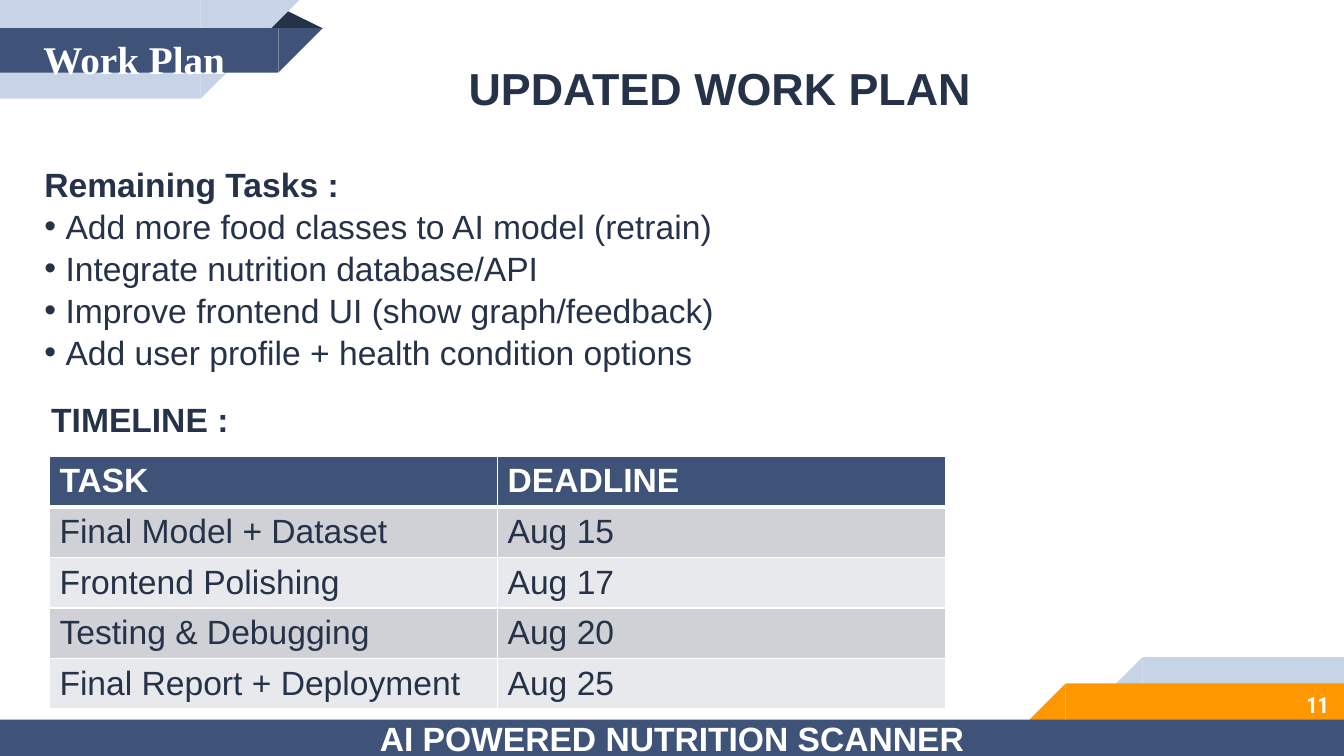
from dataclasses import dataclass

from pptx import Presentation
from pptx.dml.color import RGBColor
from pptx.enum.shapes import MSO_SHAPE as Preset
from pptx.enum.text import MSO_ANCHOR as Anchor, MSO_AUTO_SIZE as AutoSize, PP_ALIGN as Align
from pptx.oxml.ns import qn
from pptx.util import Inches, Pt
from lxml.etree import SubElement


@dataclass(frozen=True)
class Theme:
    navy: str = "3F5378"
    ink: str = "263248"
    pale: str = "C7D3E6"
    orange: str = "FF9800"
    white: str = "FFFFFF"
    bands: tuple = ("CFD1D6", "E8E9EC")
    font: str = "Arial"
    ribbon_font: str = "Times New Roman"
    number_font: str = "Roboto Condensed"
    heading_size: int = 32
    ribbon_size: int = 28
    text_size: int = 24
    number_size: int = 16


THEME = Theme()
TASKS = [
    "Add more food classes to AI model (retrain)",
    "Integrate nutrition database/API",
    "Improve frontend UI (show graph/feedback)",
    "Add user profile + health condition options",
]
TIMELINE = [
    ("TASK", "DEADLINE"),
    ("Final Model + Dataset", "Aug 15"),
    ("Frontend Polishing", "Aug 17"),
    ("Testing & Debugging", "Aug 20"),
    ("Final Report + Deployment", "Aug 25"),
]


def place(shape, box):
    shape.left, shape.top, shape.width, shape.height = map(Inches, box)


def style(paragraph, size=THEME.text_size, color=THEME.ink, bold=True,
          font=THEME.font, align=Align.LEFT):
    paragraph.font.name = font
    paragraph.font.size = Pt(size)
    paragraph.font.bold = bold
    paragraph.font.color.rgb = RGBColor.from_string(color)
    paragraph.alignment = align


def add_block(slide, preset, box, color):
    """Add a plain filled shape without line or shadow."""
    shape = slide.shapes.add_shape(preset, *map(Inches, box))
    shape.shadow.inherit = False
    shape.fill.solid()
    shape.fill.fore_color.rgb = RGBColor.from_string(color)
    shape.line.fill.background()
    return shape


def add_label(slide, box, text, anchor=Anchor.TOP, **looks):
    label = slide.shapes.add_textbox(*map(Inches, box))
    frame = label.text_frame
    frame.word_wrap = True
    frame.vertical_anchor = anchor
    frame.text = text
    style(frame.paragraphs[0], **looks)


def add_band(slide, box, color, slant_right):
    """Add a band whose slanted end is a right triangle as wide as the band is high."""
    left, top, width, height = box
    body_left, tip_left = (left, left + width - height) if slant_right else (left + height, left)
    add_block(slide, Preset.RECTANGLE, (body_left, top, width - height, height), color)
    tip = add_block(slide, Preset.RIGHT_TRIANGLE, (tip_left, top, height, height), color)
    tip.rotation = 90 if slant_right else 270


def add_title_ribbon(slide, box, text):
    left, top, width, height = box
    fold = add_block(slide, Preset.ISOSCELES_TRIANGLE,
                     (left + width - 0.57, top + 0.09, 0.57, 0.19), THEME.ink)
    fold.adjustments[0] = 0.32
    add_band(slide, (left, top, width - 0.23, height), THEME.pale, True)
    add_band(slide, (left, top + 0.28, width, 0.44), THEME.navy, True)

    title = slide.shapes.title
    title.element.getparent().append(title.element)
    place(title, (left + 0.33, top + 0.25, width - 0.5, 0.6))
    frame = title.text_frame
    frame.auto_size = AutoSize.NONE
    frame.vertical_anchor = Anchor.TOP
    frame.margin_top = Inches(0.1)
    frame.text = text
    style(frame.paragraphs[0], THEME.ribbon_size, THEME.white, font=THEME.ribbon_font)


def add_footer(slide, box, text, number):
    """Add the corner bands, the page number and the bar along the bottom."""
    left, top, width, height = box
    right = left + width
    add_band(slide, (right - 2.98, top, 2.98, 0.98), THEME.pale, False)
    add_band(slide, (right - 3.2, top + 0.26, 3.2, 0.44), THEME.orange, False)
    bar = add_block(slide, Preset.RECTANGLE, (left, top + height - 0.36, width, 0.36), THEME.navy)
    bar.text_frame.text = text
    bar.text_frame.vertical_anchor = Anchor.MIDDLE
    style(bar.text_frame.paragraphs[0], color=THEME.white, align=Align.CENTER)
    add_label(slide, (right - 2.22, top + 0.24, 2.17, 0.46), number, Anchor.MIDDLE,
              size=THEME.number_size, color=THEME.white, font=THEME.number_font,
              align=Align.RIGHT)


def set_bullet(paragraph, character, indent):
    properties = paragraph._p.get_or_add_pPr()
    properties.set("marL", str(Inches(indent)))
    properties.set("indent", str(-Inches(indent)))
    if character:
        SubElement(properties, qn("a:buChar"), char=character)
    else:
        SubElement(properties, qn("a:buNone"))


def add_task_list(slide, box, heading, tasks):
    body = slide.placeholders[1]
    place(body, box)
    frame = body.text_frame
    frame.auto_size = AutoSize.NONE
    frame.vertical_anchor = Anchor.TOP
    frame.text = "\n".join([heading, *tasks])
    for index, paragraph in enumerate(frame.paragraphs):
        is_task = index > 0
        style(paragraph, bold=not is_task)
        paragraph.space_before = Pt(0)
        paragraph.line_spacing = 1.04
        set_bullet(paragraph, "•" if is_task else "", 0.21 if is_task else 0)


def set_borders(cell, bottom):
    properties = cell._tc.get_or_add_tcPr()
    widths = {"a:lnL": 1, "a:lnR": 1, "a:lnT": 1, "a:lnB": bottom}
    for position, (tag, width) in enumerate(widths.items()):
        line = SubElement(properties, qn(tag), w=str(Pt(width)))
        fill = SubElement(line, qn("a:solidFill"))
        SubElement(fill, qn("a:srgbClr"), val=THEME.white)
        properties.insert(position, line)


def add_timeline(slide, box, rows):
    table = slide.shapes.add_table(len(rows), len(rows[0]), *map(Inches, box)).table
    for row_index, row in enumerate(rows):
        is_header = row_index == 0
        color = THEME.navy if is_header else THEME.bands[(row_index - 1) % 2]
        for column_index, text in enumerate(row):
            cell = table.cell(row_index, column_index)
            cell.text = text
            cell.vertical_anchor = Anchor.TOP if is_header else Anchor.MIDDLE
            cell.fill.solid()
            cell.fill.fore_color.rgb = RGBColor.from_string(color)
            style(cell.text_frame.paragraphs[0], bold=is_header,
                  color=THEME.white if is_header else THEME.ink)
            set_borders(cell, 3 if is_header else 1)


def add_work_plan_slide(presentation):
    slide = presentation.slides.add_slide(presentation.slide_layouts[1])
    add_title_ribbon(slide, (0, 0, 3.2, 0.98), "Work Plan")
    add_footer(slide, (0, 6.52, 13.33, 0.98), "AI POWERED NUTRITION SCANNER", "11")
    add_label(slide, (3.77, 0.55, 6.74, 0.64), "UPDATED WORK PLAN",
              size=THEME.heading_size, align=Align.CENTER)
    add_task_list(slide, (0.34, 1.56, 8.67, 2.3), "Remaining Tasks :", TASKS)
    add_timeline(slide, (0.49, 4.53, 8.89, 2.5), TIMELINE)
    add_label(slide, (0.41, 3.91, 5.16, 0.5), "TIMELINE :")


def main():
    presentation = Presentation()
    presentation.slide_width = Inches(13.33)
    presentation.slide_height = Inches(7.5)
    add_work_plan_slide(presentation)
    presentation.save("out.pptx")


if __name__ == "__main__":
    main()
